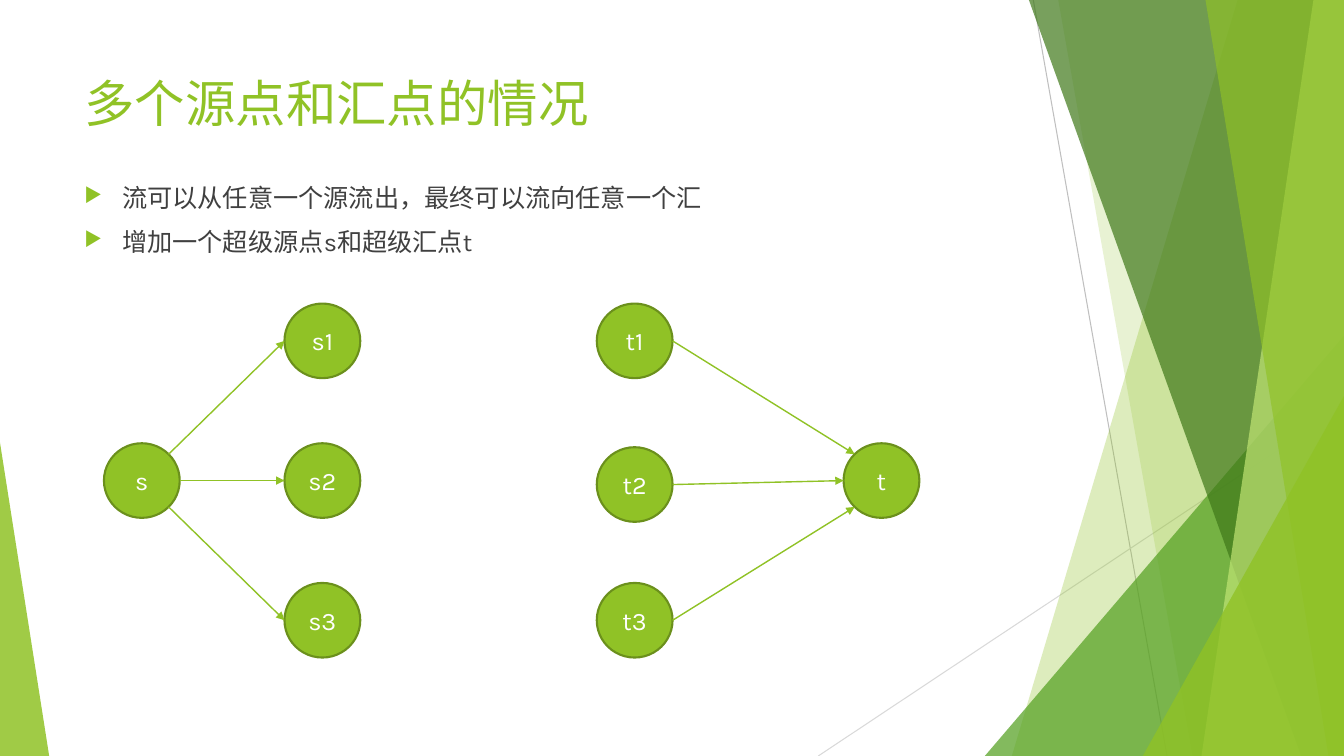
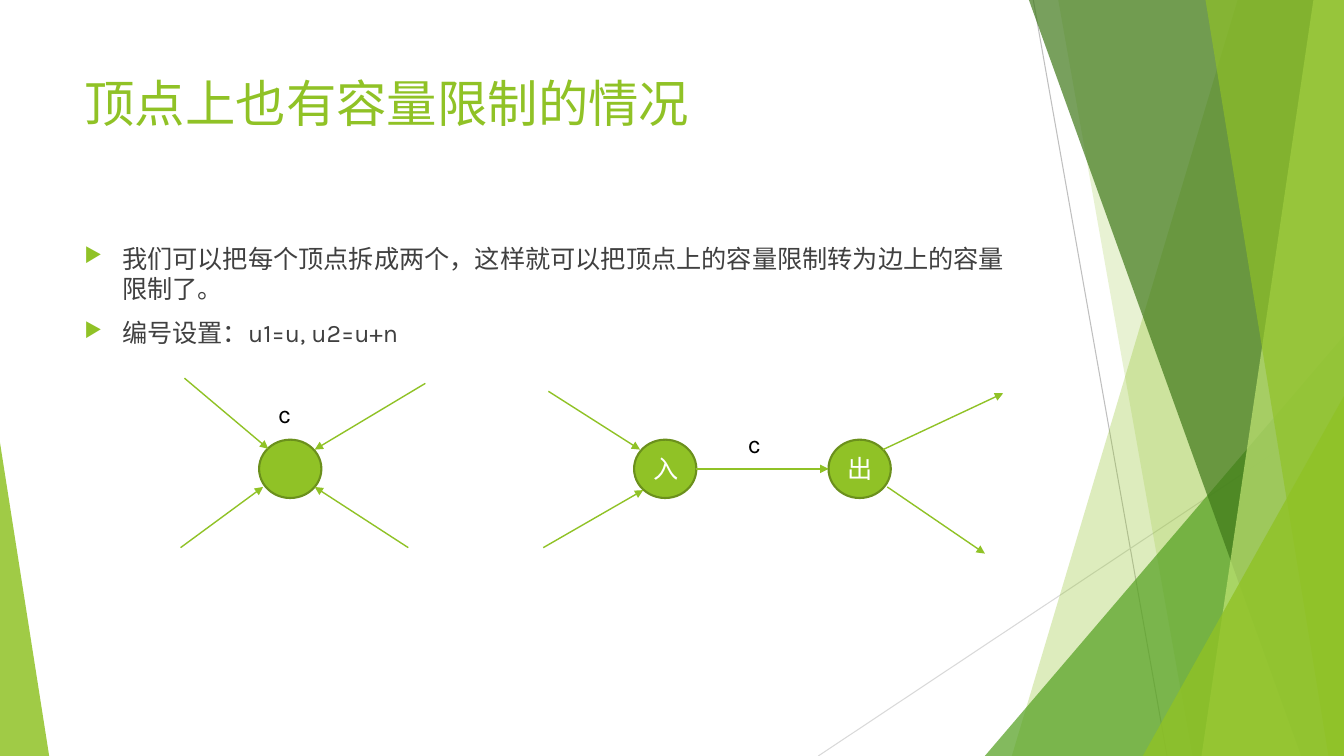
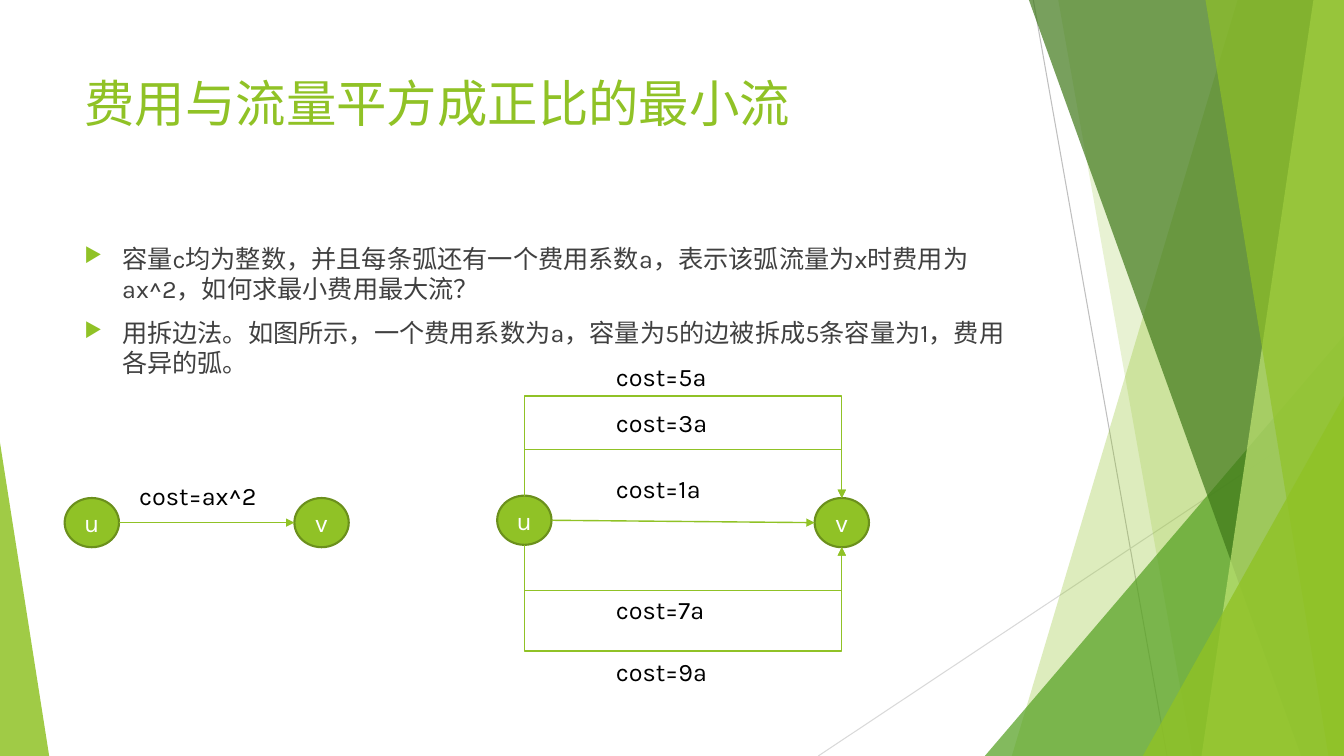
from dataclasses import dataclass
from math import cos, pi, sin

from lxml.etree import SubElement
from pptx import Presentation
from pptx.dml.color import RGBColor
from pptx.enum.shapes import MSO_CONNECTOR as Link, MSO_SHAPE as Preset
from pptx.enum.text import MSO_ANCHOR as Anchor, PP_ALIGN as Align
from pptx.oxml.ns import qn
from pptx.util import Cm, Pt

COLOURS = {
    "lime": "90C226",
    "lime_edge": "6B901C",
    "lime_pale": "C0E474",
    "leaf": "54A021",
    "forest": "3F7819",
    "body": "404040",
    "label": "000000",
    "white": "FFFFFF",
    "ray_dark": "BFBFBF",
    "ray_light": "D9D9D9",
}
FONT = "Karla"
TITLE_SIZE, TEXT_SIZE = 36, 18
PAGE_WIDTH, PAGE_HEIGHT = 33.87, 19.05
LABEL_HEIGHT = 1.02

# Connection sites of an ellipse, counted anticlockwise from the top
TOP, TOP_LEFT, LEFT, BOTTOM_LEFT, BOTTOM, BOTTOM_RIGHT, RIGHT, TOP_RIGHT = range(8)


@dataclass
class Box:
    """A rectangle in centimetres."""
    left: float
    top: float
    width: float
    height: float

    def inner(self, x, y, width, height):
        return Box(self.left + x, self.top + y, width, height)

    def point(self, x, y):
        return self.left + x, self.top + y

    def site(self, index):
        """Return the point of an ellipse's connection site."""
        angle = index * pi / 4
        return self.point(self.width / 2 * (1 - sin(angle)),
                          self.height / 2 * (1 - cos(angle)))

    def lengths(self):
        return Cm(self.left), Cm(self.top), Cm(self.width), Cm(self.height)


@dataclass
class Node:
    shape: object
    box: Box


TITLE_BOX = Box(1.88, 1.7, 23.88, 3.66)


def colour(name):
    return RGBColor.from_string(COLOURS[name])


def format_text(para, size, colour_name):
    for span in para.runs:
        span.font.name = FONT
        span.font.size = Pt(size)
        span.font.color.rgb = colour(colour_name)


def add_text(page, box, text, size, colour_name):
    frame = page.shapes.add_textbox(*box.lengths()).text_frame
    frame.word_wrap = True
    frame.text = text
    format_text(frame.paragraphs[0], size, colour_name)


def add_label(page, box, x, y, width, text):
    add_text(page, box.inner(x, y, width, LABEL_HEIGHT), text, TEXT_SIZE, "label")


def add_line(page, start, end, colour_name="lime", width=1, arrow=True, kind=Link.STRAIGHT):
    line = page.shapes.add_connector(kind, *(Cm(value) for value in start + end))
    line.line.color.rgb = colour(colour_name)
    line.line.width = Pt(width)
    if arrow:
        SubElement(line.element.find(".//" + qn("a:ln")), qn("a:tailEnd"), type="triangle")
    SubElement(line.element.spPr, qn("a:effectLst"))
    return line


def glue(line, source, source_site, target, target_site):
    ends = line.element.find(".//" + qn("p:cNvCxnSpPr"))
    for tag, node, site in (("a:stCxn", source, source_site), ("a:endCxn", target, target_site)):
        SubElement(ends, qn(tag), id=str(node.shape.shape_id), idx=str(site))


def add_edge(page, source, source_site, target, target_site):
    line = add_line(page, source.box.site(source_site), target.box.site(target_site))
    glue(line, source, source_site, target, target_site)


def add_arc(page, source, target, site, level):
    """Join the same site of two nodes by a U-shaped arrow running at height level."""
    start, end = source.box.site(site), target.box.site(site)
    line = add_line(page, start, end, kind=Link.ELBOW)
    span, rise = end[0] - start[0], end[1] - start[1]
    turned = Box((start[0] + end[0] - rise) / 2, (start[1] + end[1] - span) / 2, rise, span)
    line.left, line.top, line.width, line.height = turned.lengths()
    frame = line.element.spPr.find(qn("a:xfrm"))
    frame.set("rot", "16200000")
    frame.set("flipH", "1")
    bend = round((level - start[1]) / rise * 100000)
    guides = line.element.find(".//" + qn("a:avLst"))
    SubElement(guides, qn("a:gd"), name="adj1", fmla=f"val {bend}")
    glue(line, source, site, target, site)


def add_node(page, box, text=""):
    shape = page.shapes.add_shape(Preset.OVAL, *box.lengths())
    shape.shadow.inherit = False
    shape.fill.solid()
    shape.fill.fore_color.rgb = colour("lime")
    shape.line.color.rgb = colour("lime_edge")
    shape.line.width = Pt(1.5)
    if text:
        frame = shape.text_frame
        frame.vertical_anchor = Anchor.MIDDLE
        frame.text = text
        frame.paragraphs[0].alignment = Align.CENTER
        format_text(frame.paragraphs[0], TEXT_SIZE, "white")
    return Node(shape, box)


def paint_veil(shape, colour_name, opacity):
    shape.shadow.inherit = False
    shape.line.fill.background()
    shape.fill.solid()
    shape.fill.fore_color.rgb = colour(colour_name)
    SubElement(shape.element.spPr.find(".//" + qn("a:srgbClr")), qn("a:alpha"),
               val=str(opacity * 1000))


def add_veil(page, top_x, bottom_x, colour_name, opacity):
    """Fill the page from a slanted edge to the right border."""
    corners = [(top_x, 0), (PAGE_WIDTH, 0), (PAGE_WIDTH, PAGE_HEIGHT), (bottom_x, PAGE_HEIGHT)]
    points = [(Cm(x), Cm(y)) for x, y in corners]
    builder = page.shapes.build_freeform(*points[0])
    builder.add_line_segments(points[1:], close=True)
    paint_veil(builder.convert_to_shape(), colour_name, opacity)


def add_corner(page, left, width, height, apex, colour_name, opacity):
    """Stand a right-angled triangle on the bottom border; apex is 0 (left) or 1 (right)."""
    box = Box(left, PAGE_HEIGHT - height, width, height)
    shape = page.shapes.add_shape(Preset.ISOSCELES_TRIANGLE, *box.lengths())
    shape.adjustments[0] = apex
    paint_veil(shape, colour_name, opacity)


def draw_backdrop(page):
    add_line(page, (26.04, 0), (29.41, PAGE_HEIGHT), "ray_dark", 0.75, arrow=False)
    add_line(page, (PAGE_WIDTH, 10.24), (20.62, PAGE_HEIGHT), "ray_light", 0.75, arrow=False)
    add_veil(page, 31.19, 25.5, "lime", 30)
    add_veil(page, 26.67, 30.05, "lime", 20)
    add_corner(page, 24.82, 9.05, 10.59, 1, "leaf", 72)
    add_veil(page, 25.93, 32.79, "forest", 70)
    add_veil(page, 33.1, 30.28, "lime_pale", 70)
    add_veil(page, 30.38, 33.48, "lime", 65)
    add_corner(page, 28.8, 5.07, 9.07, 1, "lime", 80)
    add_corner(page, 0, 1.24, 7.9, 0, "lime", 85)


def add_bullet(para):
    properties = para._p.get_or_add_pPr()
    properties.set("marL", str(Cm(0.95)))
    properties.set("indent", str(Cm(-0.95)))
    SubElement(SubElement(properties, qn("a:buClr")), qn("a:srgbClr"), val=COLOURS["lime"])
    SubElement(properties, qn("a:buSzPct"), val="80000")
    SubElement(properties, qn("a:buChar"), char="▶")


def draw_bullets(page, box, items):
    frame = page.shapes.add_textbox(*box.lengths()).text_frame
    frame.word_wrap = True
    for index, item in enumerate(items):
        para = frame.add_paragraph() if index else frame.paragraphs[0]
        para.text = item
        add_bullet(para)
        if index:
            para.space_before = Pt(10)
        format_text(para, TEXT_SIZE, "body")


def draw_super_nodes(page, box):
    width, height = 1.91, 1.88
    row_step = (box.height - height) / 2

    def place(x, y, text):
        return add_node(page, box.inner(x, y, width, height), text)

    source = place(0, row_step, "s")
    sink = place(box.width - width, row_step, "t")
    source_sites = (TOP_RIGHT, RIGHT, BOTTOM_RIGHT)
    sink_sites = (TOP_LEFT, LEFT, BOTTOM_LEFT)
    sink_shifts = (0, 0.1, 0)
    for row in range(3):
        y = row * row_step
        start = place(4.55, y, f"s{row + 1}")
        finish = place(12.42, y + sink_shifts[row], f"t{row + 1}")
        add_edge(page, source, source_sites[row], start, LEFT)
        add_edge(page, finish, RIGHT, sink, sink_sites[row])


def draw_vertex_split(page, box):
    whole, entry, leaving = (
        add_node(page, box.inner(x, 1.55, 1.57, 1.47), text)
        for x, text in ((1.98, ""), (11.43, "入"), (16.33, "出")))
    add_edge(page, entry, RIGHT, leaving, LEFT)
    loose_arrows = [
        ((0.1, 0), (2.21, 1.78)),
        ((0, 4.27), (2.08, 2.74)),
        ((6.17, 0.13), (3.38, 1.8)),
        ((5.74, 4.27), (3.38, 2.74)),
        ((9.27, 0.33), (11.58, 1.8)),
        ((9.14, 4.27), (11.66, 2.82)),
        ((17.7, 1.8), (20.73, 0.38)),
        ((17.81, 2.74), (20.27, 4.42)),
    ]
    for start, end in loose_arrows:
        add_line(page, box.point(*start), box.point(*end))
    for x, y in ((2.21, 0.38), (14.05, 1.14)):
        add_label(page, box, x, y, 1.17, "c")


def draw_edge_split(page, box):
    single_u, single_v, split_u, split_v = (
        add_node(page, box.inner(x, y, 1.37, 1.24), text)
        for x, y, text in ((0, 3.56, "u"), (5.79, 3.56, "v"),
                           (10.9, 3.5, "u"), (18.9, 3.56, "v")))
    add_edge(page, single_u, RIGHT, single_v, LEFT)
    add_label(page, box, 1.63, 3, 4.17, "cost=ax^2")

    add_edge(page, split_u, RIGHT, split_v, LEFT)
    for site, level in ((TOP, 0.99), (TOP, 2.34), (BOTTOM, 7.42), (BOTTOM, 5.89)):
        add_arc(page, split_u, split_v, site, box.top + level)
    for y, factor in ((0, 5), (1.14, 3), (2.82, 1), (5.87, 7), (7.42, 9)):
        add_label(page, box, 13.64, y, 3.91, f"cost={factor}a")


def add_page(deck, title, items, bullets_top, draw_diagram, diagram_box):
    page = deck.slides.add_slide(deck.slide_layouts[6])
    draw_backdrop(page)
    add_text(page, TITLE_BOX, title, TITLE_SIZE, "lime")
    bullets_box = Box(TITLE_BOX.left, bullets_top, TITLE_BOX.width, 16.78 - bullets_top)
    draw_bullets(page, bullets_box, items)
    draw_diagram(page, diagram_box)


def main():
    deck = Presentation()
    deck.slide_width, deck.slide_height = Cm(PAGE_WIDTH), Cm(PAGE_HEIGHT)
    add_page(deck, "多个源点和汇点的情况",
             ["流可以从任意一个源流出，最终可以流向任意一个汇",
              "增加一个超级源点s和超级汇点t"],
             4.47, draw_super_nodes, Box(2.62, 7.65, 20.55, 8.92))
    add_page(deck, "顶点上也有容量限制的情况",
             ["我们可以把每个顶点拆成两个，这样就可以把顶点上的容量限制转为边上的容量限制了。",
              "编号设置：u1=u, u2=u+n"],
             6, draw_vertex_split, Box(4.55, 9.53, 20.73, 4.42))
    add_page(deck, "费用与流量平方成正比的最小流",
             ["容量c均为整数，并且每条弧还有一个费用系数a，表示该弧流量为x时费用为ax^2，如何求最小费用最大流？",
              "用拆边法。如图所示，一个费用系数为a，容量为5的边被拆成5条容量为1，费用各异的弧。"],
             6, draw_edge_split, Box(1.63, 8.99, 20.27, 8.43))
    deck.save("out.pptx")


if __name__ == "__main__":
    main()
